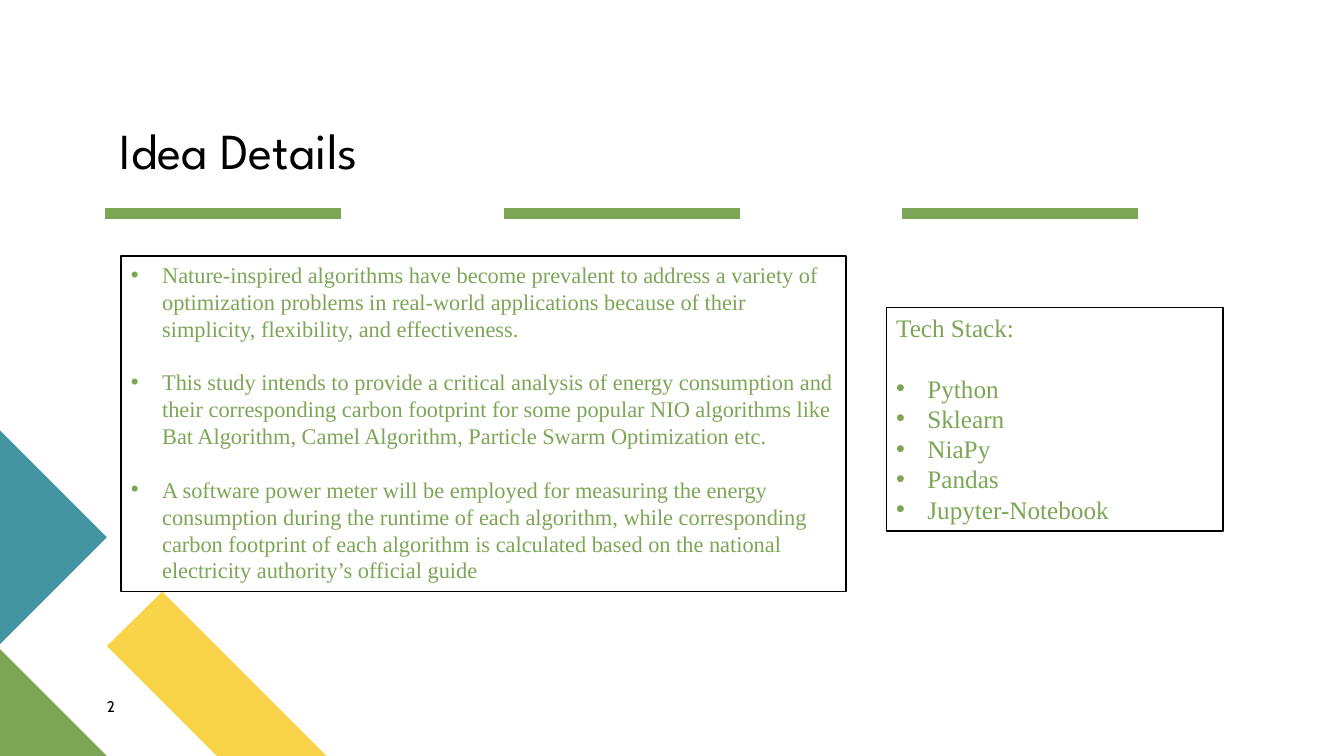
from dataclasses import dataclass
from typing import Any

import pptx
import pptx.dml.color
import pptx.enum.shapes
import pptx.enum.text
import pptx.oxml.ns
import pptx.util
from lxml import etree

PX = 9144  # EMU in one px, 100 px to the inch


@dataclass(frozen=True)
class Theme:
    green: str = "7CA655"
    yellow: str = "F9D448"
    teal: str = "4495A2"
    black: str = "000000"
    white: str = "FFFFFF"
    title_size: int = 36
    body_size: int = 16
    stack_size: int = 18
    number_size: int = 11
    bar_weight: int = 8
    border_weight: int = 1
    leading: float = 1.2
    indent: int = 31


@dataclass(frozen=True)
class Corner:
    points: tuple[tuple[int, int], ...]
    colour: str


@dataclass(frozen=True)
class Label:
    area: tuple[int, int, int, int]
    text: str
    font: str
    size: int
    inset: tuple[int, int]
    wrap: bool


@dataclass(frozen=True)
class Panel:
    """A bordered list; gap is the number of empty lines between bullets."""
    area: tuple[int, int, int, int]
    size: int
    bullets: tuple[str, ...]
    heading: str = ""
    gap: int = 0


THEME = Theme()

CORNERS = (
    Corner(((324, 750), (215, 750), (106, 641), (161, 587)), THEME.yellow),
    Corner(((106, 750), (0, 750), (0, 644)), THEME.green),
    Corner(((0, 427), (106, 533), (0, 639)), THEME.teal),
)

BAR_STARTS = (104, 500, 895)
BAR_WIDTH = 234
BAR_Y = 212

LABELS = (
    Label((109, 113, 310, 71), "Idea Details", "League Spartan",
          THEME.title_size, (10, 5), False),
    Label((106, 692, 57, 27), "2", "Cabin", THEME.number_size, (0, 0), True),
)

PANELS = (
    Panel((120, 254, 719, 333), THEME.body_size, (
        "Nature-inspired algorithms have become prevalent to address a variety of "
        "optimization problems in real-world applications because of their "
        "simplicity, flexibility, and effectiveness.",
        "This study intends to provide a critical analysis of energy consumption and "
        "their corresponding carbon footprint for some popular NIO algorithms like "
        "Bat Algorithm, Camel Algorithm, Particle Swarm Optimization etc.",
        "A software power meter will be employed for measuring the energy "
        "consumption during the runtime of each algorithm, while corresponding "
        "carbon footprint of each algorithm is calculated based on the national "
        "electricity authority’s official guide",
    ), gap=1),
    Panel((879, 305, 334, 222), THEME.stack_size,
          ("Python", "Sklearn", "NiaPy", "Pandas", "Jupyter-Notebook"),
          heading="Tech Stack:"),
)


def rgb(colour: str) -> pptx.dml.color.RGBColor:
    return pptx.dml.color.RGBColor.from_string(colour)


def emu(lengths: tuple[int, ...]) -> list[int]:
    return [length * PX for length in lengths]


def apply(target: Any, values: dict[str, Any]) -> None:
    for name, value in values.items():
        setattr(target, name, value)


def paint(shape: Any, colour: str) -> None:
    shape.shadow.inherit = False
    shape.fill.solid()
    shape.fill.fore_color.rgb = rgb(colour)


def set_frame(box: Any, inset: tuple[int, int], wrap: bool) -> None:
    across, down = emu(inset)
    apply(box.text_frame, {
        "word_wrap": wrap,
        "auto_size": pptx.enum.text.MSO_AUTO_SIZE.NONE,
        "vertical_anchor": pptx.enum.text.MSO_ANCHOR.TOP,
        "margin_left": across, "margin_right": across,
        "margin_top": down, "margin_bottom": down,
    })


def write(para: Any, text: str, font: str, size: int, colour: str) -> None:
    para.alignment = pptx.enum.text.PP_ALIGN.LEFT
    span = para.add_run()
    span.text = text
    apply(span.font, {"name": font, "size": pptx.util.Pt(size)})
    span.font.color.rgb = rgb(colour)


def add_bullet(para: Any) -> None:
    settings = para._p.get_or_add_pPr()
    settings.set("marL", str(THEME.indent * PX))
    settings.set("indent", str(-THEME.indent * PX))
    for tag, name, value in (("a:buFont", "typeface", "Arial"),
                             ("a:buChar", "char", "•")):
        etree.SubElement(settings, pptx.oxml.ns.qn(tag)).set(name, value)


def draw_corner(page: Any, corner: Corner) -> None:
    first, *rest = corner.points
    builder = page.shapes.build_freeform(*first, scale=PX)
    builder.add_line_segments(rest, close=True)
    shape = builder.convert_to_shape()
    paint(shape, corner.colour)
    shape.line.fill.background()


def draw_bar(page: Any, start: int) -> None:
    bar = page.shapes.add_connector(
        pptx.enum.shapes.MSO_CONNECTOR.STRAIGHT,
        *emu((start, BAR_Y, start + BAR_WIDTH, BAR_Y)))
    bar.line.width = pptx.util.Pt(THEME.bar_weight)
    bar.line.color.rgb = rgb(THEME.green)
    etree.SubElement(bar._element.spPr, pptx.oxml.ns.qn("a:effectLst"))


def draw_label(page: Any, label: Label) -> None:
    box = page.shapes.add_textbox(*emu(label.area))
    set_frame(box, label.inset, label.wrap)
    write(box.text_frame.paragraphs[0], label.text, label.font, label.size, THEME.black)


def draw_panel(page: Any, panel: Panel) -> None:
    box = page.shapes.add_shape(
        pptx.enum.shapes.MSO_SHAPE.RECTANGLE, *emu(panel.area))
    paint(box, THEME.white)
    box.line.width = pptx.util.Pt(THEME.border_weight)
    box.line.color.rgb = rgb(THEME.black)
    set_frame(box, (10, 5), True)

    pitch = pptx.util.Pt(panel.size * THEME.leading)
    lines = ([panel.heading] if panel.heading else []) + list(panel.bullets)
    for index, text in enumerate(lines):
        para = box.text_frame.paragraphs[0] if index == 0 else box.text_frame.add_paragraph()
        after_heading = bool(panel.heading) and index == 1
        empty_lines = 0 if index == 0 else max(panel.gap, int(after_heading))
        apply(para, {"line_spacing": pitch, "space_before": pitch * empty_lines})
        write(para, text, "Times New Roman", panel.size, THEME.green)
        if index > 0 or not panel.heading:
            add_bullet(para)


def main() -> None:
    deck = pptx.Presentation()
    apply(deck, {"slide_width": 1333 * PX, "slide_height": 750 * PX})
    page = deck.slides.add_slide(deck.slide_layouts[6])
    for corner in CORNERS:
        draw_corner(page, corner)
    for start in BAR_STARTS:
        draw_bar(page, start)
    for label in LABELS:
        draw_label(page, label)
    for panel in PANELS:
        draw_panel(page, panel)
    deck.save("out.pptx")


if __name__ == "__main__":
    main()
